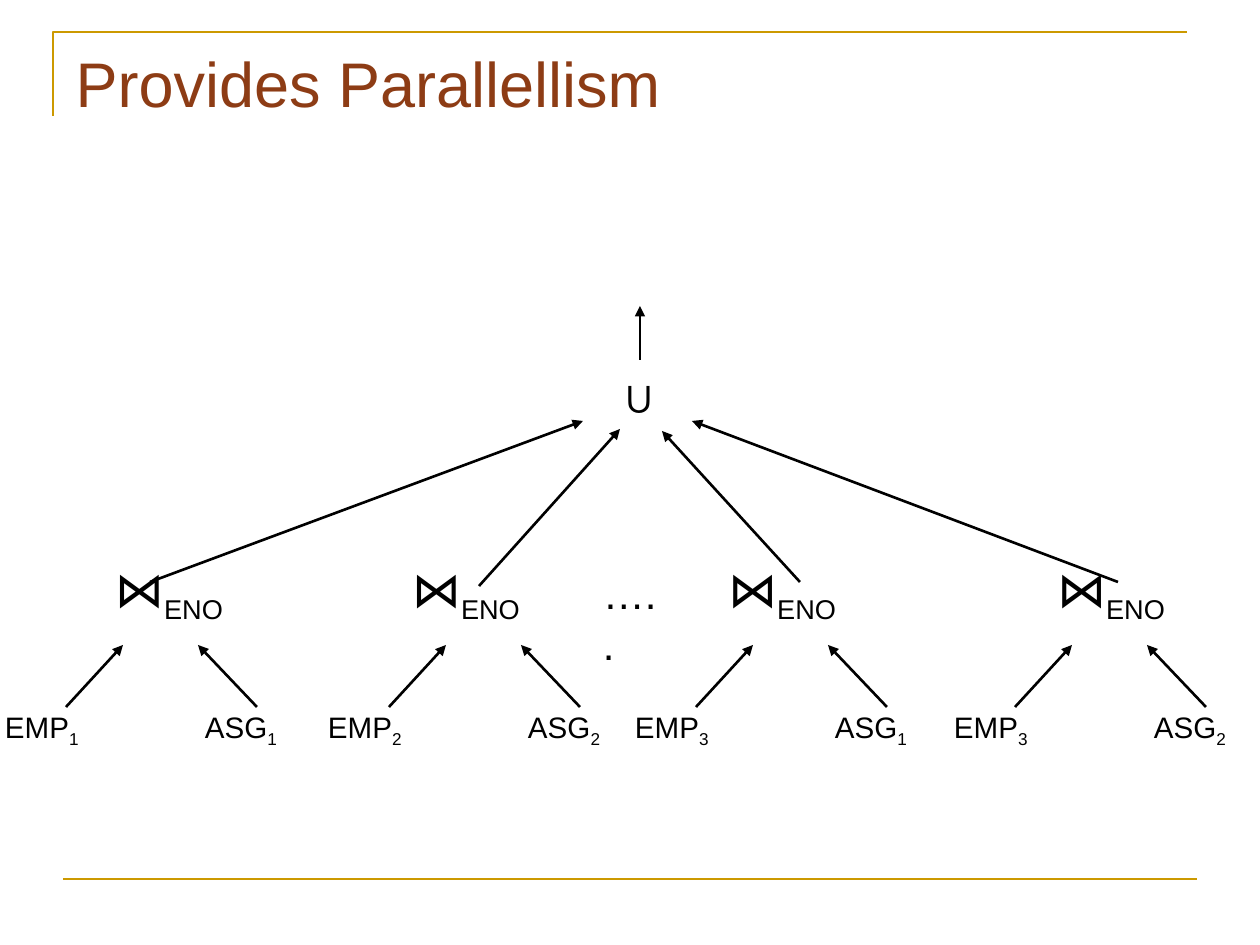
"""Build the slide on parallel joins feeding one union."""
from lxml import etree
from pptx import Presentation, util as u
from pptx.dml.color import RGBColor
from pptx.enum import shapes, text
from pptx.oxml.ns import qn

PX = 914400 / 126
FONT = "Arial"
BLACK, GOLD, BROWN = "000000", "CC9900", "8D3C15"
TITLE = "Provides Parallellism"
JOINS = [
    dict(x=-8, emp="1", asg="1", join=115, wide=117, rise=(150, 582, 583, 421)),
    dict(x=315, emp="2", asg="2", join=412, wide=129, rise=(479, 586, 620, 429)),
    dict(x=622, emp="3", asg="1", join=728, wide=131, rise=(800, 582, 662, 431)),
    dict(x=941, emp="3", asg="2", join=1057, wide=118, rise=(1118, 582, 692, 421)),
]


def px(n):
    return round(n * PX)


def rgb(code):
    return RGBColor.from_string(code)


def style(run, size, color=BLACK, font=FONT, base=None):
    run.font.size = u.Pt(size)
    run.font.name = font
    run.font.color.rgb = rgb(color)
    if base:
        run._r.get_or_add_rPr().set("baseline", str(base * 1000))


def label(slide, box, parts, inset=(13, 6), wrap=False):
    shape = slide.shapes.add_textbox(*map(px, box))
    frame = shape.text_frame
    frame.word_wrap = wrap
    frame.margin_left = frame.margin_right = px(inset[0])
    frame.margin_top = frame.margin_bottom = px(inset[1])
    para = frame.paragraphs[0]
    for words, *look in parts:
        run = para.add_run()
        run.text = words
        style(run, *look)
    return para


def line(slide, ends, color=BLACK, width=1.5, arrow=True):
    link = slide.shapes.add_connector(shapes.MSO_CONNECTOR.STRAIGHT, *map(px, ends))
    link.line.color.rgb = rgb(color)
    link.line.width = u.Pt(width)
    if arrow:
        etree.SubElement(link.line._get_or_add_ln(), qn("a:tailEnd"), type="triangle")
    etree.SubElement(link._element.spPr, qn("a:effectLst"))


def frame_lines(slide):
    pen = slide.shapes.build_freeform(53, 116, scale=PX)
    pen.add_line_segments([(53, 32), (1187, 32)], close=False)
    corner = pen.convert_to_shape()
    corner.shadow.inherit = False
    corner.fill.background()
    corner.line.color.rgb = rgb(GOLD)
    corner.line.width = u.Pt(1.5)
    line(slide, (63, 879, 1197, 879), GOLD, arrow=False)


def head(slide):
    title = slide.shapes.title
    title.left, title.top, title.width, title.height = map(px, (63, 38, 1134, 157))
    frame = title.text_frame
    frame.text = TITLE
    frame.vertical_anchor = text.MSO_ANCHOR.TOP
    para = frame.paragraphs[0]
    para.alignment = text.PP_ALIGN.LEFT
    style(para.runs[0], 36, BROWN)


def branch(slide, x, emp, asg, join, wide, rise):
    for name, sub, left, start, end in (
        ("EMP", emp, 0, 74, 131), ("ASG", asg, 200, 265, 206)
    ):
        label(slide, (x + left, 703, 100, 48),
              [(name, 16.9), (sub, 16.9, BLACK, FONT, -25)])
        line(slide, (x + start, 707, x + end, 645))
    line(slide, rise)
    para = label(slide, (join, 586, wide, 39),
                 [("⋈", 28.1, BLACK, "Vollkorn"), ("ENO", 26.7, BLACK, FONT, -25)],
                 (0, 0), True)
    para.line_spacing = u.Pt(22)


def main():
    deck = Presentation()
    deck.slide_width, deck.slide_height = px(1260), px(945)
    slide = deck.slides.add_slide(deck.slide_layouts[5])
    frame_lines(slide)
    head(slide)
    for item in JOINS:
        branch(slide, **item)
    label(slide, (610, 363, 70, 65), [("∪", 25.3)])
    line(slide, (640, 360, 640, 306), width=1)
    label(slide, (590, 562, 91, 63), [("…..", 24)])
    deck.save("out.pptx")


if __name__ == "__main__":
    main()
